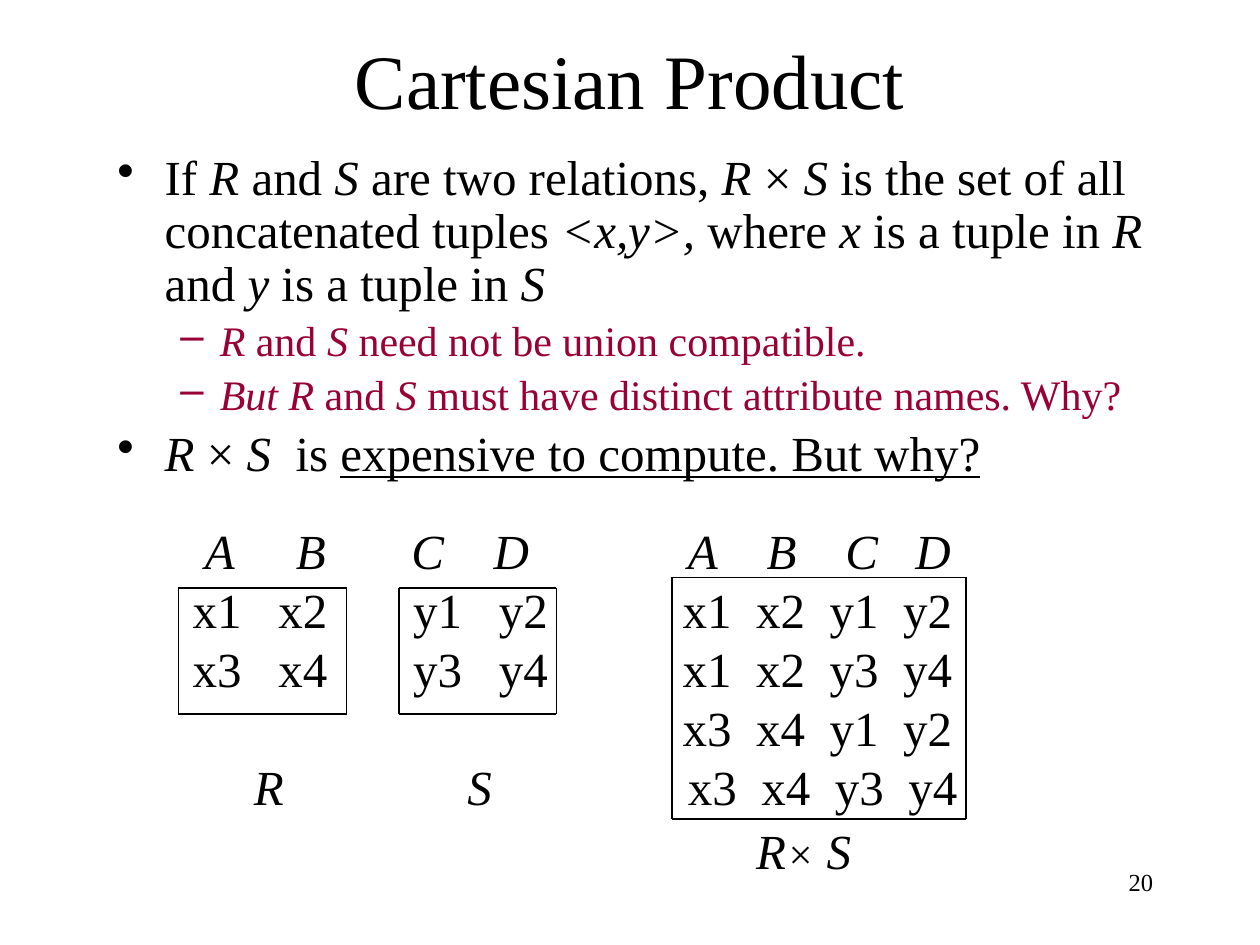
from dataclasses import dataclass

import pptx
import pptx.dml.color
import pptx.enum.shapes
import pptx.enum.text
import pptx.oxml.ns
import pptx.util
from lxml import etree

Pt = pptx.util.Pt
ALIGN = pptx.enum.text.PP_ALIGN


@dataclass(frozen=True)
class Theme:
    font: str = "Times New Roman"
    ink: str = "000000"
    accent: str = "990033"
    title: int = 44
    body: int = 28
    detail: int = 24
    number: int = 14
    line: float = 0.75


class SlideWriter:
    def __init__(self, theme, page):
        self.theme = theme
        self.page = page

    def box(self, left, top, width, height, anchor=pptx.enum.text.MSO_ANCHOR.TOP):
        frame = self.page.shapes.add_textbox(Pt(left), Pt(top), Pt(width), Pt(height)).text_frame
        frame.word_wrap = True
        frame.vertical_anchor = anchor
        return frame

    def para(self, frame, align=ALIGN.LEFT, spacing=1.0, before=0):
        first = frame.paragraphs[0]
        para = frame.add_paragraph() if first.runs else first
        para.alignment = align
        para.line_spacing = spacing
        para.space_before = Pt(before if para is not first and before else 0)
        return para

    def span(self, para, text, size, color=None, italic=False, underline=False):
        span = para.add_run()
        span.text = text
        font = span.font
        font.name = self.theme.font
        font.size = Pt(size)
        font.italic = italic
        font.underline = underline
        font.color.rgb = pptx.dml.color.RGBColor.from_string(color or self.theme.ink)

    def spans(self, para, text, size, color=None):
        """Add upright and italic runs; asterisks switch between the two."""
        for index, piece in enumerate(text.split("*")):
            if piece:
                self.span(para, piece, size, color, italic=index % 2 == 1)

    def bullet(self, frame, text, mark, margin, hang, size, color):
        para = self.para(frame, spacing=0.9, before=0.2 * size)
        properties = para._p.get_or_add_pPr()
        properties.set("marL", str(Pt(margin)))
        properties.set("indent", str(-Pt(hang)))
        etree.SubElement(properties, pptx.oxml.ns.qn("a:buChar"), char=mark)
        self.spans(para, text, size, color)
        return para

    def tabbed(self, frame, text, stops, spacing=1.0):
        para = self.para(frame, spacing=spacing)
        tabs = etree.SubElement(para._p.get_or_add_pPr(), pptx.oxml.ns.qn("a:tabLst"))
        for stop in stops:
            etree.SubElement(tabs, pptx.oxml.ns.qn("a:tab"), pos=str(Pt(stop)), algn="l")
        self.spans(para, text, self.theme.body)
        return para

    def line(self, start, end):
        line = self.page.shapes.add_connector(
            pptx.enum.shapes.MSO_CONNECTOR.STRAIGHT, *map(Pt, start + end))
        line.line.color.rgb = pptx.dml.color.RGBColor.from_string(self.theme.ink)
        line.line.width = Pt(self.theme.line)
        etree.SubElement(line._element.spPr, pptx.oxml.ns.qn("a:effectLst"))

    def outline(self, left, top, right, bottom):
        """Draw the four lines around a relation."""
        for y in (top, bottom):
            self.line((left, y), (right, y))
        for x in (left, right):
            self.line((x, top), (x, bottom))


def main():
    deck = pptx.Presentation()
    deck.slide_width, deck.slide_height = Pt(720), Pt(540)
    theme = Theme()
    writer = SlideWriter(theme, deck.slides.add_slide(deck.slide_layouts[6]))

    title = writer.box(54, 0, 612, 90, pptx.enum.text.MSO_ANCHOR.MIDDLE)
    writer.spans(writer.para(title, ALIGN.CENTER), "Cartesian Product", theme.title)

    body = writer.box(60, 84, 606, 216)
    point = ("•", 27, 27, theme.body, theme.ink)
    detail = ("–", 58.5, 22.5, theme.detail, theme.accent)
    writer.bullet(body, "If *R *and *S *are two relations, *R *× *S* is the set of all "
                  "concatenated tuples *<x,y>,* where *x* is a tuple in *R* and *y* "
                  "is a tuple in *S*", *point)
    writer.bullet(body, "*R* and *S* need not be union compatible.", *detail)
    writer.bullet(body, "*But R* and *S* must have distinct attribute names. Why?", *detail)
    cost = writer.bullet(body, "*R *× *S*  is ", *point)
    writer.span(cost, "expensive to compute. But why?", theme.body, underline=True)

    tuples = writer.box(96, 294, 458.5, 212.5)
    tuples.margin_right = 0
    product_stops = [287 + 42 * column for column in range(4)]
    row_stops = [7, 56, 133, 182] + product_stops
    writer.tabbed(tuples, "*\tA\tB\tC\tD\tA\tB\tC\tD*", [14, 66, 132, 179, 290, 335, 380, 420])
    writer.tabbed(tuples, "\tx1\tx2\ty1\ty2\tx1\tx2\ty1\ty2", row_stops)
    writer.tabbed(tuples, "\tx3\tx4\ty3\ty4\tx1\tx2\ty3\ty4", row_stops)
    writer.tabbed(tuples, "\tx3\tx4\ty1\ty2", product_stops)
    writer.tabbed(tuples, "*\tR\tS*\tx3\tx4\ty3\ty4",
                  [42, 164] + [stop + 3 for stop in product_stops])
    product = writer.tabbed(tuples, "*\tR*", [329], spacing=1.1)
    writer.span(product, "×", theme.detail, italic=True)
    writer.span(product, " S", theme.body, italic=True)

    for edges in ((102, 336, 198, 408), (228, 336, 318, 408), (384, 330, 552, 468)):
        writer.outline(*edges)

    number = writer.box(516, 492, 150, 36)
    writer.spans(writer.para(number, ALIGN.RIGHT), "20", theme.number)

    deck.save("out.pptx")


if __name__ == "__main__":
    main()
